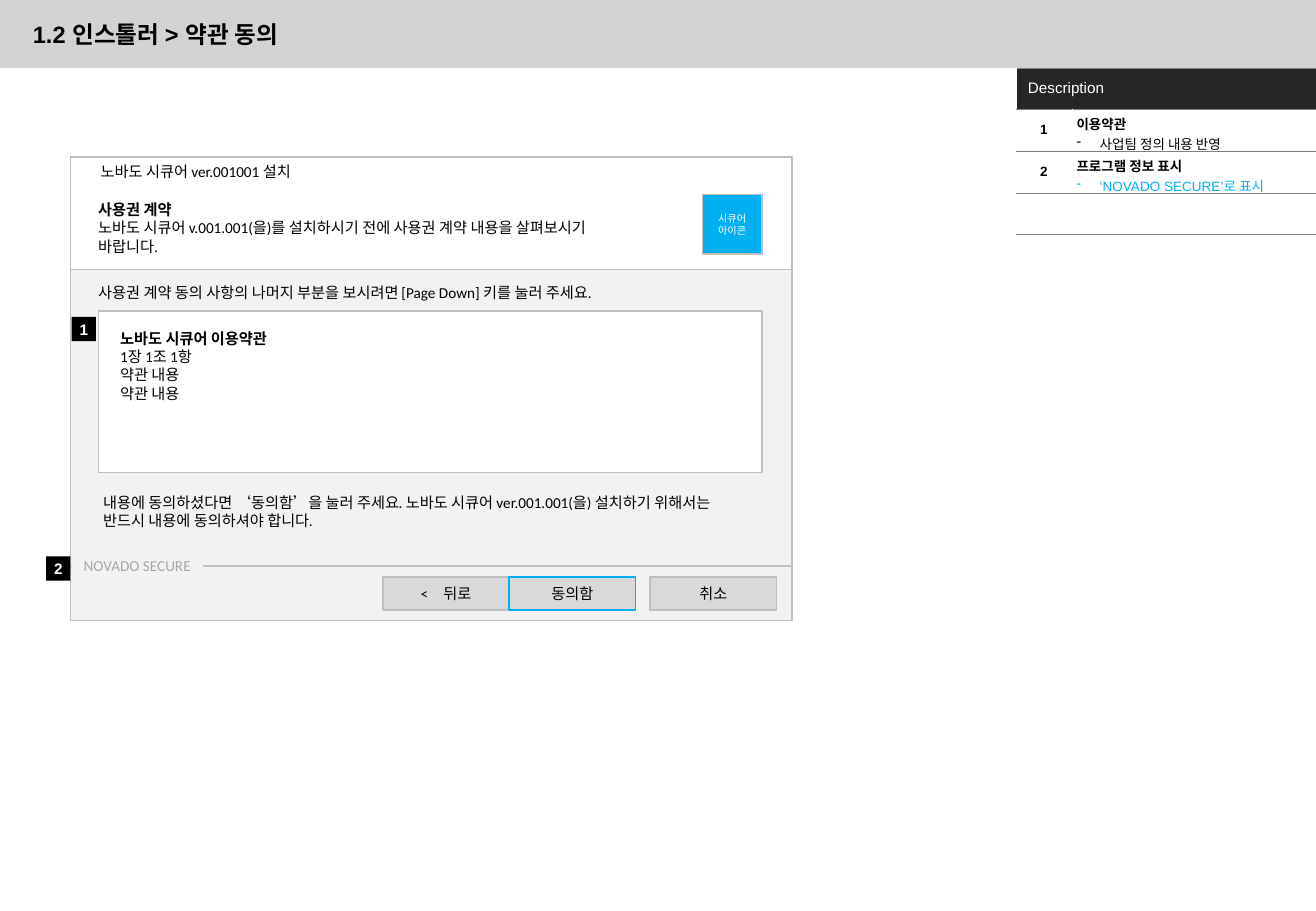
import collections
import pptx
import pptx.util
import pptx.dml.color
import pptx.enum.shapes
import pptx.enum.text
import pptx.oxml
import pptx.oxml.ns

Inches = pptx.util.Inches
Box = collections.namedtuple("Box", "left top width height")
ALIGN = pptx.enum.text.PP_ALIGN
ANCHOR = pptx.enum.text.MSO_ANCHOR
EDGE, PANEL, BUTTON, ACCENT = "BFBFBF", "F2F2F2", "D9D9D9", "00B0F0"


def color(value):
    return pptx.dml.color.RGBColor.from_string(value)


def inside(box, left, top, width, height):
    return Box(box.left + left, box.top + top, width, height)


def lengths(box):
    return [Inches(value) for value in box]


def write(frame, lines, size, font="Calibri", ink="000000", align=ALIGN.LEFT, bold_first=False):
    frame.word_wrap = True
    for index, line in enumerate(lines):
        para = frame.paragraphs[0] if index == 0 else frame.add_paragraph()
        para.alignment = align
        span = para.add_run()
        span.text = line
        span.font.size = pptx.util.Pt(size)
        span.font.name = font
        span.font.bold = bold_first and index == 0
        span.font.color.rgb = color(ink)


def add_panel(page, box, fill=None, line=None):
    panel = page.shapes.add_shape(pptx.enum.shapes.MSO_SHAPE.RECTANGLE, *lengths(box))
    panel.shadow.inherit = False
    if fill:
        panel.fill.solid()
        panel.fill.fore_color.rgb = color(fill)
    else:
        panel.fill.background()
    if line:
        panel.line.color.rgb = color(line)
        panel.line.width = pptx.util.Pt(1)
    else:
        panel.line.fill.background()
    panel.text_frame.vertical_anchor = ANCHOR.MIDDLE
    return panel


def add_text(page, box, lines, bold_first=False):
    write(page.shapes.add_textbox(*lengths(box)).text_frame, lines, 9, bold_first=bold_first)


def add_button(page, box, label, line=EDGE):
    button = add_panel(page, box, BUTTON, line)
    write(button.text_frame, [label], 9, align=ALIGN.CENTER)


def add_marker(page, box, number):
    frame = add_panel(page, box, "000000").text_frame
    frame.margin_left = frame.margin_right = 0
    write(frame, [number], 9, "Arial", "FFFFFF", ALIGN.CENTER, True)


def add_heading(page, box, text):
    band = add_panel(page, box, "D3D3D3")
    band.element.getparent().insert(2, band.element)
    title = page.shapes.title
    title.left, title.top, title.width, title.height = lengths(inside(box, 0.17, 0.14, 10.36, 0.48))
    title.text_frame.vertical_anchor = ANCHOR.TOP
    write(title.text_frame, [text], 14, "Arial", bold_first=True)
    title.text_frame.paragraphs[0].line_spacing = 0.9


def add_installer(page, box):
    add_panel(page, box, line=EDGE)
    add_text(page, inside(box, 0.15, 0, 1.95, 0.25), ["노바도 시큐어 ver.001001 설치"])
    add_text(page, inside(box, 0.13, 0.31, 4.52, 0.56), [
        "사용권 계약",
        "노바도 시큐어 v.001.001(을)를 설치하시기 전에 사용권 계약 내용을 살펴보시기 바랍니다.",
    ], True)
    icon = add_panel(page, inside(box, 5.2, 0.31, 0.49, 0.49), ACCENT, EDGE)
    icon.text_frame.margin_left = icon.text_frame.margin_right = 0
    write(icon.text_frame, ["시큐어", "아이콘"], 6, ink="FFFFFF", align=ALIGN.CENTER)
    add_terms(page, inside(box, 0, 0.93, box.width, 2.44))
    add_footer(page, inside(box, 0, 3.37, box.width, 0.45))


def add_terms(page, box):
    add_panel(page, box, PANEL, EDGE)
    add_text(page, inside(box, 0.13, 0.06, 4.6, 0.25),
             ["사용권 계약 동의 사항의 나머지 부분을 보시려면 [Page Down] 키를 눌러 주세요."])
    add_panel(page, inside(box, 0.23, 0.34, 5.46, 1.33), "FFFFFF", EDGE)
    add_text(page, inside(box, 0.31, 0.44, 1.6, 0.71),
             ["노바도 시큐어 이용약관", "1장 1조 1항", "약관 내용", "약관 내용"], True)
    add_text(page, inside(box, 0.17, 1.79, 5.5, 0.4), [
        "내용에 동의하셨다면 ‘동의함’을 눌러 주세요. 노바도 시큐어 ver.001.001(을) 설치하기 위해서는",
        "반드시 내용에 동의하셔야 합니다.",
    ])
    add_marker(page, inside(box, 0.01, 0.39, 0.2, 0.2), "1")


def add_footer(page, box):
    add_panel(page, box, PANEL, EDGE)
    brand = add_panel(page, inside(box, 0.01, -0.13, 1.08, 0.25), PANEL)
    brand.text_frame.margin_right = 0
    write(brand.text_frame, ["NOVADO SECURE"], 9, ink="A6A6A6")
    buttons = [(2.57, "<\u2003뒤로", EDGE), (3.61, "동의함", ACCENT), (4.77, "취소", EDGE)]
    for left, label, line in buttons:
        add_button(page, inside(box, left, 0.09, 1.04, 0.27), label, line)
    add_marker(page, inside(box, -0.2, -0.08, 0.2, 0.2), "2")


def style_cell(cell, fill, margin=0.04):
    properties = cell._tc.get_or_add_tcPr()
    for side, ink in zip("LRTB", ("FFFFFF", "FFFFFF", "808080", "808080")):
        properties.append(pptx.oxml.parse_xml(
            f'<a:ln{side} {pptx.oxml.ns.nsdecls("a")} w="3175"><a:solidFill>'
            f'<a:srgbClr val="{ink}"/></a:solidFill></a:ln{side}>'))
    cell.fill.solid()
    cell.fill.fore_color.rgb = color(fill)
    cell.vertical_anchor = ANCHOR.MIDDLE
    cell.margin_left = cell.margin_right = Inches(margin)
    cell.margin_top = cell.margin_bottom = Inches(0.04)


def add_dash(para):
    properties = para._p.get_or_add_pPr()
    properties.set("marL", str(Inches(0.19)))
    properties.set("indent", str(-Inches(0.19)))
    properties.append(pptx.oxml.parse_xml(f'<a:buChar {pptx.oxml.ns.nsdecls("a")} char="-"/>'))


def add_description(page, box, notes):
    rows = len(notes) + 2
    table = page.shapes.add_table(rows, 2, *lengths(box)).table
    table.first_row = table.horz_banding = False
    for column, width in zip(table.columns, (0.46, box.width - 0.46)):
        column.width = Inches(width)
    for index in range(rows):
        table.rows[index].height = Inches(box.height / rows)
        for cell in table.rows[index].cells:
            style_cell(cell, "FFFFFF" if index else "262626", 0.04 if index else 0.1)
    header = table.cell(0, 0)
    header.merge(table.cell(0, 1))
    write(header.text_frame, ["Description"], 9, "Arial", "FFFFFF")
    for index, (name, detail, ink) in enumerate(notes, 1):
        write(table.cell(index, 0).text_frame, [str(index)], 8, "Arial",
              align=ALIGN.CENTER, bold_first=True)
        frame = table.cell(index, 1).text_frame
        write(frame, [name, detail], 8, "Arial", bold_first=True)
        frame.paragraphs[1].runs[0].font.color.rgb = color(ink)
        add_dash(frame.paragraphs[1])
    for cell in table.rows[rows - 1].cells:
        cell.text_frame.paragraphs[0]._p.append(
            pptx.oxml.parse_xml(f'<a:endParaRPr {pptx.oxml.ns.nsdecls("a")} sz="800"/>'))


deck = pptx.Presentation()
deck.slide_width, deck.slide_height = Inches(10.83), Inches(7.5)
page = deck.slides.add_slide(deck.slide_layouts[5])
add_heading(page, Box(0, 0, 10.83, 0.56), "1.2 인스톨러 > 약관 동의")
add_installer(page, Box(0.58, 1.29, 5.94, 3.81))
add_description(page, Box(8.36, 0.56, 2.48, 1.35), [
    ("이용약관", "사업팀 정의 내용 반영", "000000"),
    ("프로그램 정보 표시", "‘NOVADO SECURE’로 표시", ACCENT),
])
deck.save("out.pptx")
